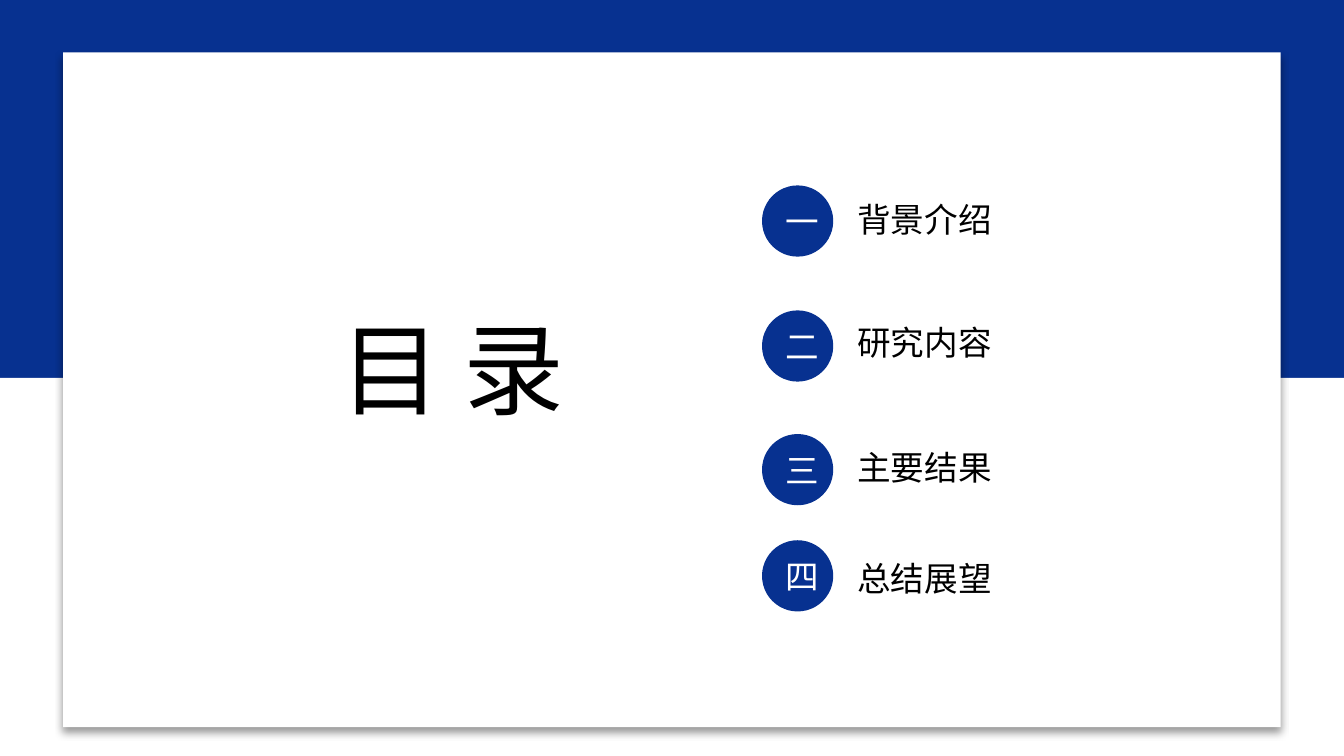
"""Build a contents slide with a white card and four numbered chapters."""
from lxml import etree
from pptx import Presentation, util as u
from pptx.dml.color import RGBColor
from pptx.enum import shapes, text
from pptx.oxml import ns

TITLE = "目 录"
CHAPTERS = [
    ("一", "背景介绍", 1.38, 1.43),
    ("二", "研究内容", 2.31, 2.35),
    ("三", "主要结果", 3.23, 3.28),
    ("四", "总结展望", 4.02, 4.10),
]
COLORS = {"blue": "073190", "white": "FFFFFF", "black": "000000"}
FONT = "Noto Sans CJK SC"
WIDTH = 10
HEIGHT = WIDTH * 9 / 16
BAND_TOP = HEIGHT / 2
CARD = (0.47, 0.39, 9.06, 5.02)
BADGE_LEFT, BADGE_SIZE = 5.67, 0.53
LABEL_LEFT, LABEL_WIDTH, LABEL_HEIGHT = 6.28, 1.28, 0.4


def color(name):
    return RGBColor.from_string(COLORS[name])


def inches(*lengths):
    return [u.Inches(length) for length in lengths]


def add_filled(slide, kind, box, fill):
    shape = slide.shapes.add_shape(kind, *inches(*box))
    shape.shadow.inherit = False
    shape.fill.solid()
    shape.fill.fore_color.rgb = color(fill)
    shape.line.fill.background()
    return shape


def add_shadow(shape):
    effects = shape.element.spPr.find(ns.qn("a:effectLst"))
    shadow = etree.SubElement(
        effects, ns.qn("a:outerShdw"), blurRad=str(u.Pt(4)), dist=str(u.Pt(3)),
        dir="5400000", algn="t", rotWithShape="0")
    tint = etree.SubElement(shadow, ns.qn("a:srgbClr"), val=COLORS["black"])
    etree.SubElement(tint, ns.qn("a:alpha"), val="40000")


def write(shape, words, size, ink, align, anchor):
    frame = shape.text_frame
    frame.word_wrap = True
    frame.vertical_anchor = anchor
    paragraph = frame.paragraphs[0]
    paragraph.alignment = align
    run = paragraph.add_run()
    run.text = words
    run.font.size = u.Pt(size)
    run.font.color.rgb = color(ink)
    run.font.name = FONT
    latin = run.font._element.find(ns.qn("a:latin"))
    latin.addnext(latin.makeelement(ns.qn("a:ea"), {"typeface": FONT}))


def main():
    deck = Presentation()
    deck.slide_width, deck.slide_height = inches(WIDTH, HEIGHT)
    slide = deck.slides.add_slide(deck.slide_layouts[5])
    slide.background.fill.solid()
    slide.background.fill.fore_color.rgb = color("blue")

    rect, oval = shapes.MSO_SHAPE.RECTANGLE, shapes.MSO_SHAPE.OVAL
    left, center = text.PP_ALIGN.LEFT, text.PP_ALIGN.CENTER
    top, middle = text.MSO_ANCHOR.TOP, text.MSO_ANCHOR.MIDDLE

    add_filled(slide, rect, (0, BAND_TOP, WIDTH, HEIGHT - BAND_TOP), "white")
    card = add_filled(slide, rect, CARD, "white")
    add_shadow(card)

    title = slide.shapes.title
    title.left, title.top, title.width, title.height = inches(2.3, 2.23, 2.13, 1.01)
    card.element.addnext(title.element)
    write(title, TITLE, 54, "black", center, top)
    title.text_frame.auto_size = text.MSO_AUTO_SIZE.SHAPE_TO_FIT_TEXT

    for number, chapter, badge_top, label_top in CHAPTERS:
        badge = add_filled(
            slide, oval, (BADGE_LEFT, badge_top, BADGE_SIZE, BADGE_SIZE), "blue")
        write(badge, number, 18, "white", center, middle)
        label = slide.shapes.add_textbox(
            *inches(LABEL_LEFT, label_top, LABEL_WIDTH, LABEL_HEIGHT))
        write(label, chapter, 18, "black", left, top)
        label.text_frame.auto_size = text.MSO_AUTO_SIZE.SHAPE_TO_FIT_TEXT

    deck.save("out.pptx")


if __name__ == "__main__":
    main()
